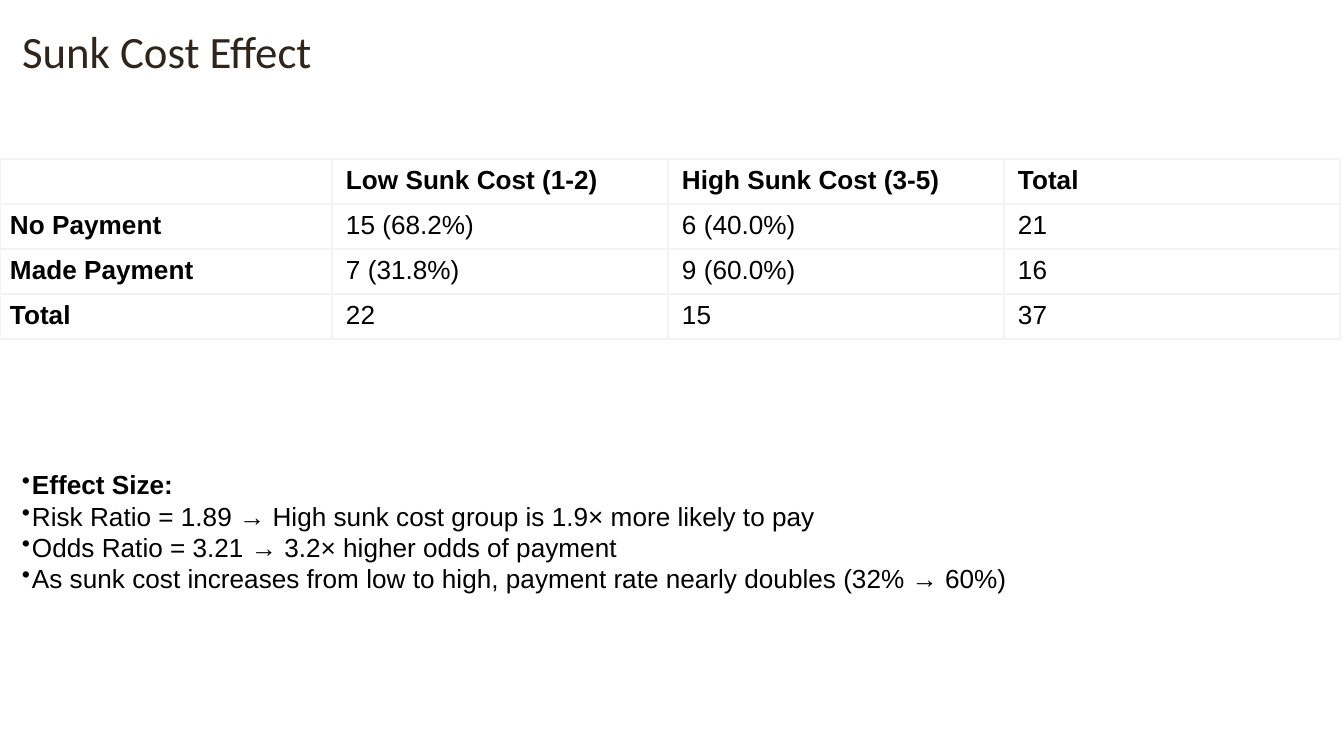
from dataclasses import dataclass

from lxml.etree import SubElement
from pptx import Presentation
from pptx.dml.color import RGBColor
from pptx.enum.text import MSO_ANCHOR, MSO_AUTO_SIZE, PP_ALIGN
from pptx.oxml import parse_xml
from pptx.oxml.ns import nsdecls, qn
from pptx.util import Emu, Pt


@dataclass(frozen=True)
class Theme:
    title_font: str = "Calibri"
    body_font: str = "Arial"
    title_size: int = 24
    body_size: int = 14
    title_color: str = "2F251C"
    text_color: str = "000000"
    border_color: str = "F3F3F3"


THEME = Theme()
SLIDE_W, SLIDE_H = 1344, 756
EMU_PER_PX = 914400 / 134.4

TITLE = "Sunk Cost Effect"
PAYMENTS = [
    ["", "Low Sunk Cost (1-2)", "High Sunk Cost (3-5)", "Total"],
    ["No Payment", "15 (68.2%)", "6 (40.0%)", "21"],
    ["Made Payment", "7 (31.8%)", "9 (60.0%)", "16"],
    ["Total", "22", "15", "37"],
]
COLUMN_WIDTHS = [332, 336, 336, 336]
COLUMN_INDENTS = [10, 14, 14, 14]
ROW_HEIGHT = 45
EFFECT_SIZE = [
    "Effect Size:",
    "Risk Ratio = 1.89 → High sunk cost group is 1.9× more likely to pay",
    "Odds Ratio = 3.21 → 3.2× higher odds of payment",
    "As sunk cost increases from low to high, payment rate nearly doubles (32% → 60%)",
]
BULLET_INDENT = 10


def px(length):
    return Emu(round(length * EMU_PER_PX))


def set_font(paragraph, name, size, color, bold=False):
    font = paragraph.font
    font.name, font.size, font.bold = name, Pt(size), bold
    font.color.rgb = RGBColor.from_string(color)


def set_body_font(paragraph, bold):
    set_font(paragraph, THEME.body_font, THEME.body_size, THEME.text_color, bold)


def set_frame(frame, top):
    frame.margin_left = frame.margin_right = frame.margin_bottom = 0
    frame.margin_top = px(top)
    frame.word_wrap = True
    frame.auto_size = MSO_AUTO_SIZE.SHAPE_TO_FIT_TEXT
    frame.vertical_anchor = MSO_ANCHOR.TOP


def add_title(slide):
    title = slide.shapes.title
    title.left, title.top, title.width, title.height = map(px, (20, 22, 911, 58))
    title.text = TITLE
    set_frame(title.text_frame, 2)
    heading = title.text_frame.paragraphs[0]
    heading.alignment = PP_ALIGN.LEFT
    heading._p.get_or_add_pPr().set("marL", str(px(2)))
    set_font(heading, THEME.title_font, THEME.title_size, THEME.title_color)


def set_borders(cell):
    properties = cell._tc.get_or_add_tcPr()
    for position, side in enumerate("LRTB"):
        properties.insert(position, parse_xml(
            f'<a:ln{side} {nsdecls("a")} w="{Pt(1)}"><a:solidFill>'
            f'<a:srgbClr val="{THEME.border_color}"/></a:solidFill></a:ln{side}>'))


def add_payment_table(slide):
    frame = slide.shapes.add_table(
        len(PAYMENTS), len(COLUMN_WIDTHS), px(0), px(159),
        px(sum(COLUMN_WIDTHS)), px(ROW_HEIGHT * len(PAYMENTS)))
    table = frame.table
    table.first_row = table.horz_banding = False
    for column, width in zip(table.columns, COLUMN_WIDTHS):
        column.width = px(width)
    for r, values in enumerate(PAYMENTS):
        table.rows[r].height = px(ROW_HEIGHT)
        for c, value in enumerate(values):
            cell = table.cell(r, c)
            cell.text = value
            cell.margin_left = cell.margin_right = cell.margin_bottom = 0
            cell.margin_top = px(7)
            cell.fill.background()
            set_borders(cell)
            # Row and column headings are bold
            entry = cell.text_frame.paragraphs[0]
            entry._p.get_or_add_pPr().set("marL", str(px(COLUMN_INDENTS[c])))
            set_body_font(entry, r == 0 or c == 0)


def add_bullet(paragraph):
    properties = paragraph._p.get_or_add_pPr()
    properties.set("marL", str(px(BULLET_INDENT)))
    properties.set("indent", str(-px(BULLET_INDENT)))
    SubElement(properties, qn("a:buSzPct"), val="93000")
    SubElement(properties, qn("a:buChar"), char="•")
    tabs = SubElement(properties, qn("a:tabLst"))
    SubElement(tabs, qn("a:tab"), pos=str(px(BULLET_INDENT)), algn="l")


def add_effect_size(slide):
    box = slide.shapes.add_textbox(*map(px, (22, 465, 986, 130)))
    frame = box.text_frame
    set_frame(frame, 3)
    for i, finding in enumerate(EFFECT_SIZE):
        paragraph = frame.add_paragraph() if i else frame.paragraphs[0]
        paragraph.text = finding
        add_bullet(paragraph)
        if i:
            paragraph.line_spacing = Pt(16.6)
        if i == 1:
            paragraph.space_before = Pt(0.5)
        set_body_font(paragraph, i == 0)


def main():
    deck = Presentation()
    deck.slide_width, deck.slide_height = px(SLIDE_W), px(SLIDE_H)
    slide = deck.slides.add_slide(deck.slide_layouts[5])
    add_title(slide)
    add_effect_size(slide)
    add_payment_table(slide)
    deck.save("out.pptx")


if __name__ == "__main__":
    main()
